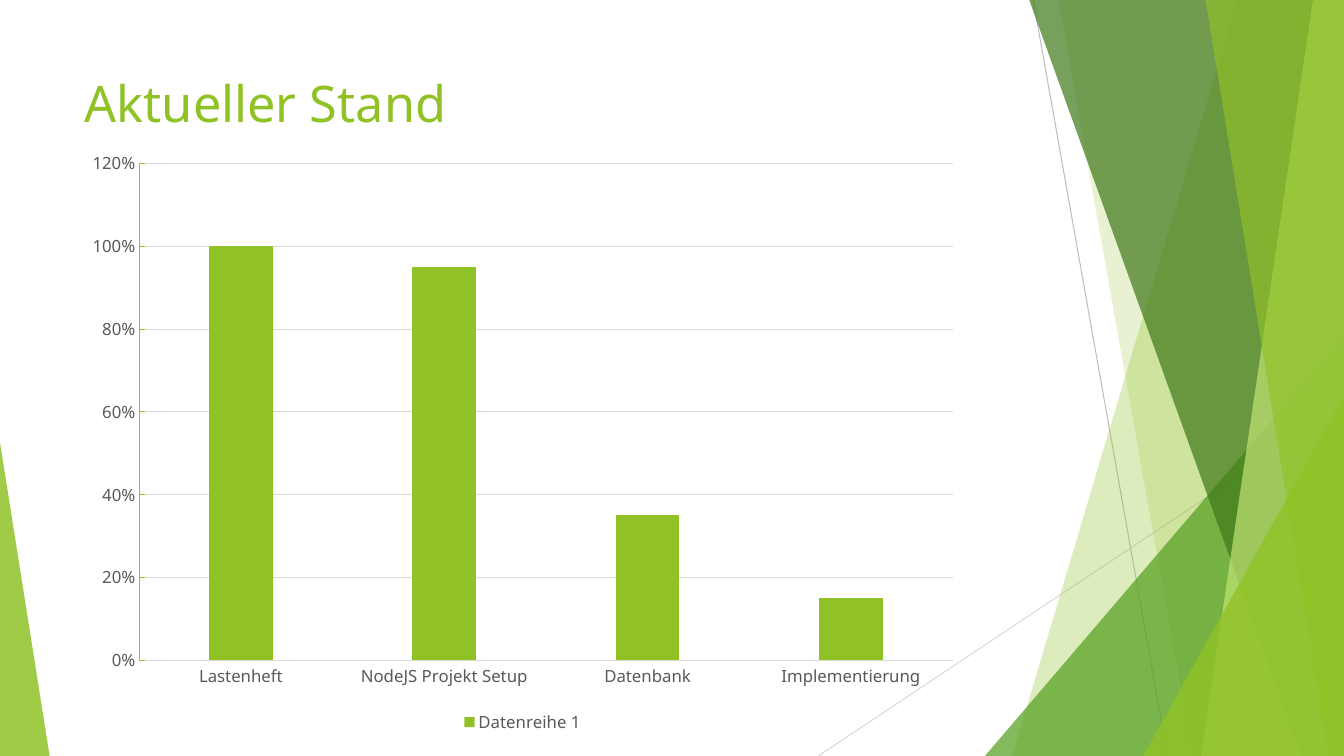
from lxml.etree import SubElement
from pptx import Presentation
from pptx.chart.data import CategoryChartData
from pptx.dml.color import RGBColor
from pptx.enum.chart import XL_CHART_TYPE, XL_LEGEND_POSITION, XL_TICK_MARK
from pptx.enum.shapes import MSO_CONNECTOR, MSO_SHAPE
from pptx.enum.text import MSO_ANCHOR, PP_ALIGN
from pptx.oxml.ns import qn
from pptx.util import Pt

LIME = RGBColor(0x90, 0xC2, 0x26)
PALE_LIME = RGBColor(0xC0, 0xE4, 0x74)
GREEN = RGBColor(0x54, 0xA0, 0x21)
DARK_GREEN = RGBColor(0x3F, 0x78, 0x19)
GREY = RGBColor(0xBF, 0xBF, 0xBF)
LIGHT_GREY = RGBColor(0xD9, 0xD9, 0xD9)
TEXT_GREY = RGBColor(0x59, 0x59, 0x59)
WIDTH, HEIGHT = 960, 540
BLEED_TOP = -0.6


class SlideBuilder:
    font_name = "Noto Sans"
    hairline = Pt(0.75)

    def __init__(self, slide):
        self.slide = slide
        self.shapes = slide.shapes

    def set_font(self, font, size, color):
        font.name = self.font_name
        font.size = Pt(size)
        font.color.rgb = color

    def set_line(self, line, color):
        line.color.rgb = color
        line.width = self.hairline

    def paint(self, shape, color, opacity):
        shape.shadow.inherit = False
        shape.line.fill.background()
        shape.fill.solid()
        shape.fill.fore_color.rgb = color
        rgb = shape.fill._xPr.find(qn("a:solidFill"))[0]
        SubElement(rgb, qn("a:alpha")).set("val", str(opacity * 1000))

    def line(self, start, end, color):
        connector = self.shapes.add_connector(
            MSO_CONNECTOR.STRAIGHT, *map(Pt, start + end))
        self.set_line(connector.line, color)
        SubElement(connector._element.spPr, qn("a:effectLst"))

    def band(self, top_x, bottom_x, color, opacity):
        outline = self.shapes.build_freeform(Pt(top_x), Pt(BLEED_TOP))
        corners = [(WIDTH, BLEED_TOP), (WIDTH, HEIGHT), (bottom_x, HEIGHT)]
        outline.add_line_segments([(Pt(x), Pt(y)) for x, y in corners])
        self.paint(outline.convert_to_shape(), color, opacity)

    def triangle(self, left, top, width, apex, color, opacity):
        shape = self.shapes.add_shape(
            MSO_SHAPE.ISOSCELES_TRIANGLE,
            Pt(left), Pt(top), Pt(width), Pt(HEIGHT - top))
        shape.adjustments[0] = apex
        self.paint(shape, color, opacity)

    def title(self, text, left, top, width, height):
        heading = self.shapes.title
        self.shapes._spTree.append(heading._element)
        heading.left, heading.top = Pt(left), Pt(top)
        heading.width, heading.height = Pt(width), Pt(height)
        heading.text_frame.text = text
        heading.text_frame.vertical_anchor = MSO_ANCHOR.TOP
        paragraph = heading.text_frame.paragraphs[0]
        paragraph.alignment = PP_ALIGN.LEFT
        self.set_font(paragraph.font, 36, LIME)

    def column_chart(self, series_name, progress, left, top, width, height):
        data = CategoryChartData(number_format="0%")
        data.categories = list(progress)
        data.add_series(series_name, list(progress.values()))
        chart = self.shapes.add_chart(
            XL_CHART_TYPE.COLUMN_CLUSTERED,
            Pt(left), Pt(top), Pt(width), Pt(height), data).chart
        chart.has_title = False
        self.set_font(chart.font, 12, TEXT_GREY)

        plot = chart.plots[0]
        plot.vary_by_categories = False
        plot.gap_width, plot.overlap = 219, -27
        columns = plot.series[0].format.fill
        columns.solid()
        columns.fore_color.rgb = LIME

        steps, stages = chart.value_axis, chart.category_axis
        steps.minimum_scale, steps.maximum_scale = 0, 1.2
        steps.major_unit = 0.2
        steps.tick_labels.number_format = "0%"
        steps.tick_labels.number_format_is_linked = False
        steps.has_major_gridlines = True
        self.set_line(steps.major_gridlines.format.line, LIGHT_GREY)
        for axis, tick, color in (
            (steps, XL_TICK_MARK.INSIDE, LIME),
            (stages, XL_TICK_MARK.NONE, LIGHT_GREY),
        ):
            axis.major_tick_mark = tick
            axis.minor_tick_mark = XL_TICK_MARK.NONE
            self.set_line(axis.format.line, color)
            self.set_font(axis.tick_labels.font, 12, TEXT_GREY)

        chart.has_legend = True
        chart.legend.position = XL_LEGEND_POSITION.BOTTOM
        chart.legend.include_in_layout = False
        self.set_font(chart.legend.font, 12, TEXT_GREY)


def main():
    presentation = Presentation()
    presentation.slide_width, presentation.slide_height = Pt(WIDTH), Pt(HEIGHT)
    status = SlideBuilder(
        presentation.slides.add_slide(presentation.slide_layouts[5]))

    status.line((738, 0), (834, HEIGHT), GREY)
    status.line((WIDTH, 290), (584.5, HEIGHT), LIGHT_GREY)
    status.band(884, 723, LIME, 30)
    status.band(756, 852, LIME, 20)
    status.triangle(703.5, 240, 256.5, 1, GREEN, 72)
    status.band(735, 929.5, DARK_GREEN, 70)
    status.band(938, 858, PALE_LIME, 70)
    status.band(861, 949, LIME, 65)
    status.triangle(816.5, 283, 143.5, 1, LIME, 80)
    status.triangle(0, 316, 35.5, 0, LIME, 85)

    status.title("Aktueller Stand", 53.3, 48, 677, 104)
    status.column_chart(
        "Datenreihe 1",
        {
            "Lastenheft": 1,
            "NodeJS Projekt Setup": 0.95,
            "Datenbank": 0.35,
            "Implementierung": 0.15,
        },
        53.3, 100, 640, 427)
    presentation.save("out.pptx")


if __name__ == "__main__":
    main()
